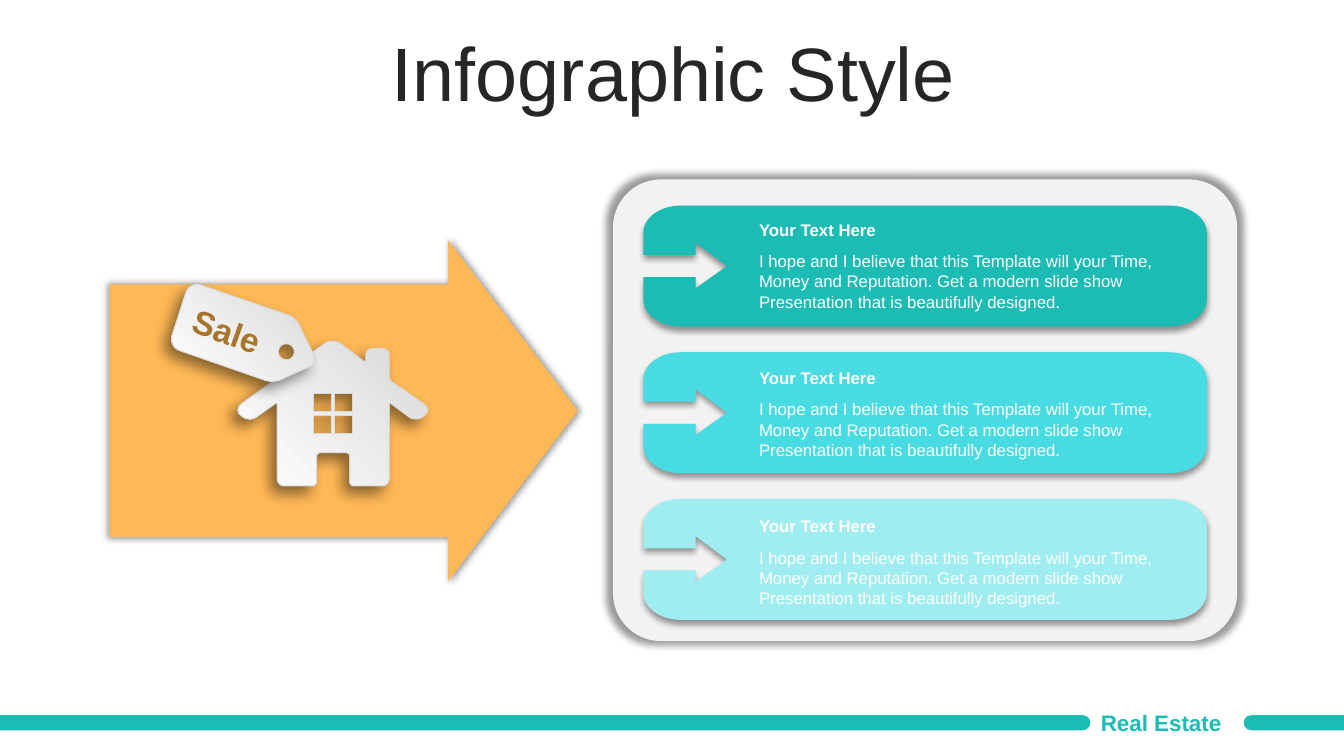
from math import dist
from lxml.etree import SubElement
from pptx import Presentation
from pptx.dml.color import RGBColor
from pptx.enum.shapes import MSO_SHAPE
from pptx.enum.text import MSO_ANCHOR, PP_ALIGN
from pptx.oxml.ns import qn
from pptx.util import Inches, Pt

TITLE = "Infographic Style"
BRAND = "Real Estate"
HEADING = "Your Text Here"
BODY = ("I hope and I believe that this Template will your Time, Money and Reputation. "
        "Get a modern slide show Presentation that is beautifully designed.")
CARDS = [(HEADING, BODY, "teal"), (HEADING, BODY, "aqua"), (HEADING, BODY, "pale")]
COLORS = {"teal": "1CBBB4", "aqua": "48DCE2", "pale": "9FEDF0", "panel": "F2F2F2",
          "orange": "FEB856", "sale": "A8752C", "title": "262626", "white": "FFFFFF",
          "icon_dark": "D9D9D9", "black": "000000"}
FONT = "Arial"

# Shadows: opacity %, blur pt, distance pt, direction degrees, scale %
PANEL_GLOW, ARROW_GLOW = (40, 5, 0, 0, 102), (40, 5, 0, 0, 101)
CARD_SHADOW, ICON_SHADOW = (40, 4, 3, 90, 100), (45, 10, 7, 135, 100)

# Outline corners: x, y, then rounding along the incoming and outgoing edge
CARD = [(0, 0, 0.27, 0.37), (5.59, 0, 0.37, 0.27), (5.59, 1.2, 0.27, 0.37),
        (0, 1.2, 0.37, 0.27), (0, 0.71), (0.52, 0.71), (0.52, 0.82), (0.83, 0.6),
        (0.52, 0.37), (0.52, 0.49), (0, 0.49)]
HOUSE = [(3.3, 3.35, 0.1, 0.1), (3.63, 3.6, 0.03, 0.03), (3.63, 3.46, 0.06, 0.06),
         (3.86, 3.46, 0.06, 0.06), (3.86, 3.77, 0.04, 0.04), (4.28, 4.06, 0.1, 0.08),
         (4.13, 4.19, 0.09, 0.09), (3.86, 3.99, 0.02, 0.02), (3.86, 4.82, 0.07, 0.07),
         (3.47, 4.82, 0.04, 0.04), (3.47, 4.49, 0.04, 0.04), (3.14, 4.49, 0.04, 0.04),
         (3.14, 4.82, 0.04, 0.04), (2.75, 4.82, 0.07, 0.07), (2.75, 3.99, 0.02, 0.02),
         (2.47, 4.19, 0.09, 0.09), (2.32, 4.06, 0.08, 0.1)]
PANES = [[(x, y), (x, y + 0.18), (x + 0.18, y + 0.18), (x + 0.18, y)]
         for x in (3.11, 3.32) for y in (3.9, 4.12)]
TAG = [(1.88, 2.79, 0.12, 0.12), (2.93, 3.15, 0.07, 0.07), (3.15, 3.6, 0.09, 0.09),
       (2.71, 3.8, 0.08, 0.08), (1.67, 3.44, 0.12, 0.12)]
TAG_HOLE = [(2.84 + dx, 3.49 + dy, 0.08, 0.08)
            for dx, dy in ((-0.08, -0.08), (-0.08, 0.08), (0.08, 0.08), (0.08, -0.08))]

prs = Presentation()
prs.slide_width, prs.slide_height = Inches(13.33), Inches(7.5)
slide = prs.slides.add_slide(prs.slide_layouts[5])
shapes = slide.shapes


def color(name):
    return RGBColor.from_string(COLORS[name])


def finish(shape, fill, shadow=None):
    shape.shadow.inherit = False
    shape.line.fill.background()
    if fill == "icon":
        shape.fill.gradient()
        shape.fill.gradient_angle = 225
        for stop, name in zip(shape.fill.gradient_stops, ("icon_dark", "white")):
            stop.color.rgb = color(name)
        shape.line.color.rgb = color("icon_dark")
        shape.line.width = Pt(0.75)
    else:
        shape.fill.solid()
        shape.fill.fore_color.rgb = color(fill)
    if shadow:
        opacity, blur, distance, direction, scale = shadow
        effects = shape._element.spPr.find(qn("a:effectLst"))
        outer = SubElement(effects, qn("a:outerShdw"), blurRad=str(Pt(blur)),
                           dist=str(Pt(distance)), dir=str(direction * 60000),
                           sx=str(scale * 1000), sy=str(scale * 1000),
                           algn="ctr", rotWithShape="0")
        tint = SubElement(outer, qn("a:srgbClr"), val=COLORS["black"])
        SubElement(tint, qn("a:alpha"), val=str(opacity * 1000))


def preset(kind, box, adjustments, fill, shadow=None, rotation=0):
    shape = shapes.add_shape(kind, *map(Inches, box))
    for i, value in enumerate(adjustments):
        shape.adjustments[i] = value
    shape.rotation = rotation
    finish(shape, fill, shadow)


def toward(a, b, share):
    return tuple(p + (q - p) * share for p, q in zip(a, b))


def rounded(corners, steps=10):
    """Turn corners with rounding lengths into outline points."""
    points = []
    for i, (x, y, *rounding) in enumerate(corners):
        corner = (x, y)
        if not rounding:
            points.append(corner)
            continue
        before, after = corners[i - 1][:2], corners[(i + 1) % len(corners)][:2]
        start = toward(corner, before, rounding[0] / dist(corner, before))
        end = toward(corner, after, rounding[1] / dist(corner, after))
        c1, c2 = toward(start, corner, 0.55), toward(end, corner, 0.55)
        for t in (step / steps for step in range(steps + 1)):
            weights = ((1 - t) ** 3, 3 * t * (1 - t) ** 2, 3 * t * t * (1 - t), t ** 3)
            points.append(tuple(sum(w * p[axis] for w, p in zip(weights, (start, c1, c2, end)))
                                for axis in (0, 1)))
    return points


def outline(contours, fill, shadow, left=0, top=0):
    builder = None
    for contour in contours:
        first, *rest = [(Inches(left + x), Inches(top + y)) for x, y in rounded(contour)]
        if builder is None:
            builder = shapes.build_freeform(*first)
        else:
            builder.move_to(*first)
        builder.add_line_segments(rest, close=True)
    finish(builder.convert_to_shape(), fill, shadow)


def write(shape, text, size, fill, bold=False, align=PP_ALIGN.LEFT, anchor=MSO_ANCHOR.TOP):
    frame = shape.text_frame
    frame.text = text
    frame.word_wrap = True
    frame.vertical_anchor = anchor
    paragraph = frame.paragraphs[0]
    paragraph.alignment = align
    font = paragraph.runs[0].font
    font.name, font.size, font.bold = FONT, Pt(size), bold
    font.color.rgb = color(fill)


def label(box, *args, **kwargs):
    textbox = shapes.add_textbox(*map(Inches, box))
    write(textbox, *args, **kwargs)
    return textbox


# Footer bars and brand
preset(MSO_SHAPE.ROUND_2_SAME_RECTANGLE, (5.33, 1.76, 0.15, 10.82), (0.5, 0), "teal", rotation=90)
preset(MSO_SHAPE.ROUND_2_SAME_RECTANGLE, (12.76, 6.67, 0.15, 1), (0.5, 0), "teal", rotation=270)
label((10.82, 6.98, 1.51, 0.37), BRAND, 16, "teal", bold=True, anchor=MSO_ANCHOR.MIDDLE)

# Title
title = shapes.title
title.left, title.top, title.width, title.height = map(Inches, (0.35, 0.37, 12.66, 0.79))
write(title, TITLE, 54, "title", align=PP_ALIGN.CENTER, anchor=MSO_ANCHOR.MIDDLE)
title.text_frame.paragraphs[0].line_spacing = 0.9

# Panel with its cards
preset(MSO_SHAPE.ROUNDED_RECTANGLE, (6.08, 1.78, 6.19, 4.58), (0.104,), "panel", PANEL_GLOW)
for row, (heading, body, fill) in enumerate(CARDS):
    outline([CARD], fill, CARD_SHADOW, 6.38, 2.04 + 1.455 * row)
    text_top = 2.13 + 1.47 * row
    label((7.43, text_top + 0.31, 4.23, 0.71), body, 12, "white")
    label((7.43, text_top, 4.23, 0.3), heading, 12, "white", bold=True)

# Arrow with the house for sale
preset(MSO_SHAPE.RIGHT_ARROW, (1.09, 2.38, 4.64, 3.39), (0.74, 0.38), "orange", ARROW_GLOW)
outline([HOUSE, *PANES], "icon", ICON_SHADOW)
outline([TAG, TAG_HOLE], "icon", ICON_SHADOW)
sale = label((1.75, 3.08, 1, 0.4), "Sale", 24, "sale", bold=True,
             align=PP_ALIGN.CENTER, anchor=MSO_ANCHOR.MIDDLE)
sale.rotation = 19.4

prs.save("out.pptx")
